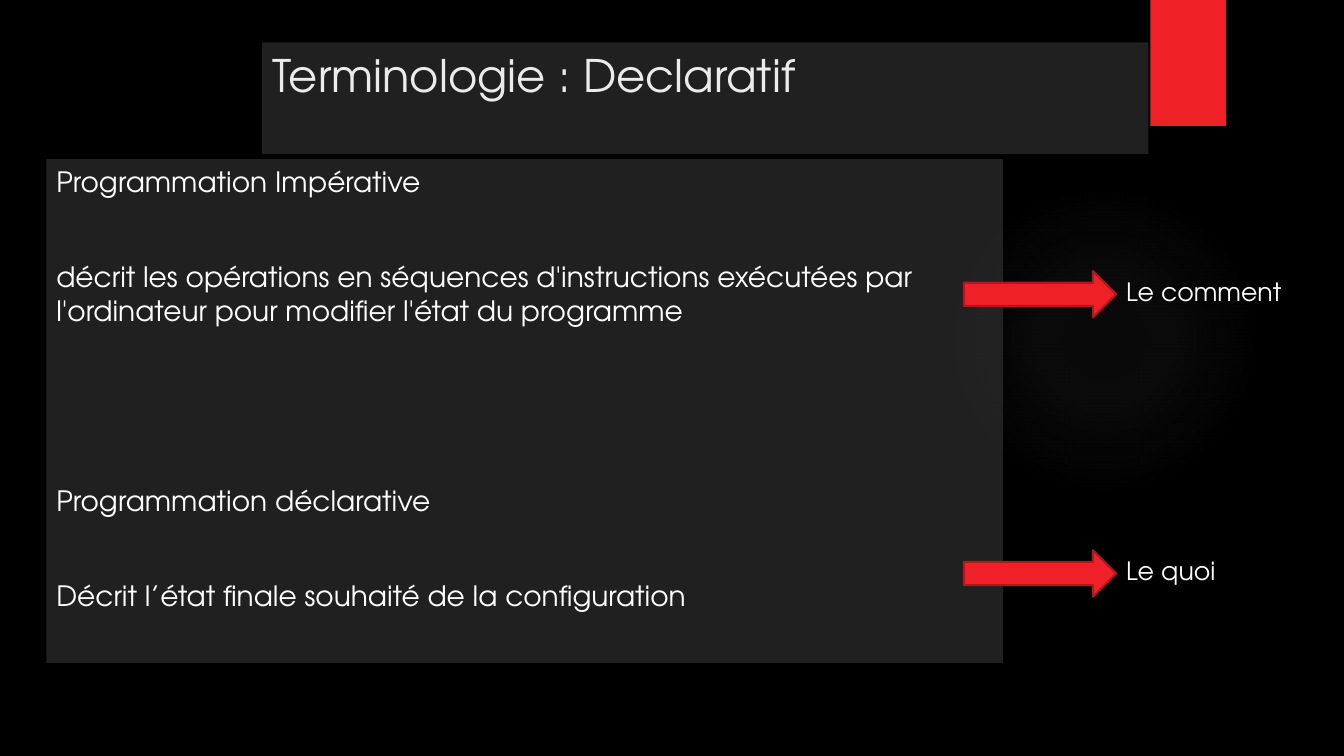
"""Build the slide comparing imperative and declarative programming."""
from dataclasses import dataclass

import lxml.etree
import pptx
import pptx.dml.color
import pptx.enum.shapes
import pptx.enum.text
import pptx.oxml
import pptx.oxml.ns
import pptx.shapes.autoshape
import pptx.slide
import pptx.util

Inches = pptx.util.Inches
Shape = pptx.enum.shapes.MSO_SHAPE


@dataclass(frozen=True)
class Theme:
    font: str = "TeX Gyre Adventor"
    background: str = "000000"
    panel: str = "2F2F2F"
    panel_alpha: int = 70
    glow: str = "898989"
    accent: str = "EF2027"
    accent_line: str = "B1181D"
    title: str = "EBEBEB"
    text: str = "FFFFFF"
    title_size: int = 32
    body_size: int = 20
    label_size: int = 18


@dataclass(frozen=True)
class Box:
    left: float
    top: float
    width: float
    height: float

    def emu(self) -> tuple[int, ...]:
        """Return the position and size as lengths."""
        return tuple(Inches(v) for v in (self.left, self.top, self.width, self.height))


@dataclass(frozen=True)
class Paragraph:
    text: str
    space_before: float = 0


@dataclass(frozen=True)
class Callout:
    label: str
    top: float


THEME = Theme()
GLOW = Box(9.41, 1.83, 3.08, 3.08)
GLOW_STOPS = ((0, 7), (36, 6), (69, 0))
TAB = Box(11.41, 0, 0.75, 1.25)
TITLE = Box(2.6, 0.42, 8.79, 1.11)
BODY = Box(0.46, 1.58, 9.49, 5)
ARROW_LEFT, ARROW_WIDTH, ARROW_HEIGHT = 9.56, 1.51, 0.46
LABEL_WIDTH, LABEL_HEIGHT = 1.81, 0.4
DETAIL_GAP, SECTION_GAP = 44, 112
DEFINITIONS = (
    Paragraph("Programmation Impérative"),
    Paragraph("décrit les opérations en séquences d'instructions exécutées par "
              "l'ordinateur pour modifier l'état du programme", DETAIL_GAP),
    Paragraph("Programmation déclarative", SECTION_GAP),
    Paragraph("Décrit l’état finale souhaité de la configuration", DETAIL_GAP),
)
CALLOUTS = (Callout("Le comment", 2.69), Callout("Le quoi", 5.46))


def rgb(color: str) -> pptx.dml.color.RGBColor:
    """Convert a hexadecimal colour."""
    return pptx.dml.color.RGBColor.from_string(color)


def add_filled(s: pptx.slide.Slide, kind: Shape, box: Box,
               color: str) -> pptx.shapes.autoshape.Shape:
    """Add a flat shape with no outline."""
    sp = s.shapes.add_shape(kind, *box.emu())
    sp.shadow.inherit = False
    sp.fill.solid()
    sp.fill.fore_color.rgb = rgb(color)
    sp.line.fill.background()
    return sp


def add_glow(s: pptx.slide.Slide) -> None:
    """Add the soft radial light."""
    sp = add_filled(s, Shape.OVAL, GLOW, THEME.glow)
    stops = "".join(
        f'<a:gs pos="{pos * 1000}"><a:srgbClr val="{THEME.glow}">'
        f'<a:alpha val="{alpha * 1000}"/></a:srgbClr></a:gs>'
        for pos, alpha in GLOW_STOPS)
    gradient = pptx.oxml.parse_xml(
        f'<a:gradFill {pptx.oxml.ns.nsdecls("a")}><a:gsLst>{stops}</a:gsLst>'
        '<a:path path="circle"><a:fillToRect l="50000" t="50000" r="50000" b="50000"/>'
        '</a:path></a:gradFill>')
    props = sp._element.spPr
    props.replace(props.find(pptx.oxml.ns.qn("a:solidFill")), gradient)


def write(sp: pptx.shapes.autoshape.Shape, paragraphs: tuple[Paragraph, ...],
          size: int, color: str) -> None:
    """Write left-aligned paragraphs from the top of a shape."""
    tf = sp.text_frame
    tf.word_wrap = True
    tf.vertical_anchor = pptx.enum.text.MSO_ANCHOR.TOP
    for i, item in enumerate(paragraphs):
        p = tf.add_paragraph() if i else tf.paragraphs[0]
        p.text = item.text
        p.alignment = pptx.enum.text.PP_ALIGN.LEFT
        p.space_before = pptx.util.Pt(item.space_before)
        for r in p.runs:
            r.font.name = THEME.font
            r.font.size = pptx.util.Pt(size)
            r.font.color.rgb = rgb(color)


def add_panel(s: pptx.slide.Slide, box: Box, paragraphs: tuple[Paragraph, ...],
              size: int, color: str) -> None:
    """Add a translucent text panel."""
    sp = add_filled(s, Shape.RECTANGLE, box, THEME.panel)
    fill = sp._element.spPr.find(pptx.oxml.ns.qn("a:solidFill"))
    alpha = lxml.etree.SubElement(fill[0], pptx.oxml.ns.qn("a:alpha"))
    alpha.set("val", str(THEME.panel_alpha * 1000))
    write(sp, paragraphs, size, color)


def add_callout(s: pptx.slide.Slide, callout: Callout) -> None:
    """Add an arrow and the label at its tip."""
    arrow = Box(ARROW_LEFT, callout.top, ARROW_WIDTH, ARROW_HEIGHT)
    sp = add_filled(s, Shape.RIGHT_ARROW, arrow, THEME.accent)
    sp.line.color.rgb = rgb(THEME.accent_line)
    sp.line.width = pptx.util.Pt(1.5)
    label = Box(ARROW_LEFT + ARROW_WIDTH, callout.top, LABEL_WIDTH, LABEL_HEIGHT)
    write(s.shapes.add_textbox(*label.emu()), (Paragraph(callout.label),),
          THEME.label_size, THEME.text)


def main() -> None:
    """Build and save the presentation."""
    prs = pptx.Presentation()
    prs.slide_width, prs.slide_height = Inches(13.33), Inches(7.5)
    s = prs.slides.add_slide(prs.slide_layouts[6])
    s.background.fill.solid()
    s.background.fill.fore_color.rgb = rgb(THEME.background)
    add_glow(s)
    add_filled(s, Shape.RECTANGLE, TAB, THEME.accent)
    add_panel(s, TITLE, (Paragraph("Terminologie : Declaratif"),),
              THEME.title_size, THEME.title)
    add_panel(s, BODY, DEFINITIONS, THEME.body_size, THEME.text)
    for callout in CALLOUTS:
        add_callout(s, callout)
    prs.save("out.pptx")


if __name__ == "__main__":
    main()
